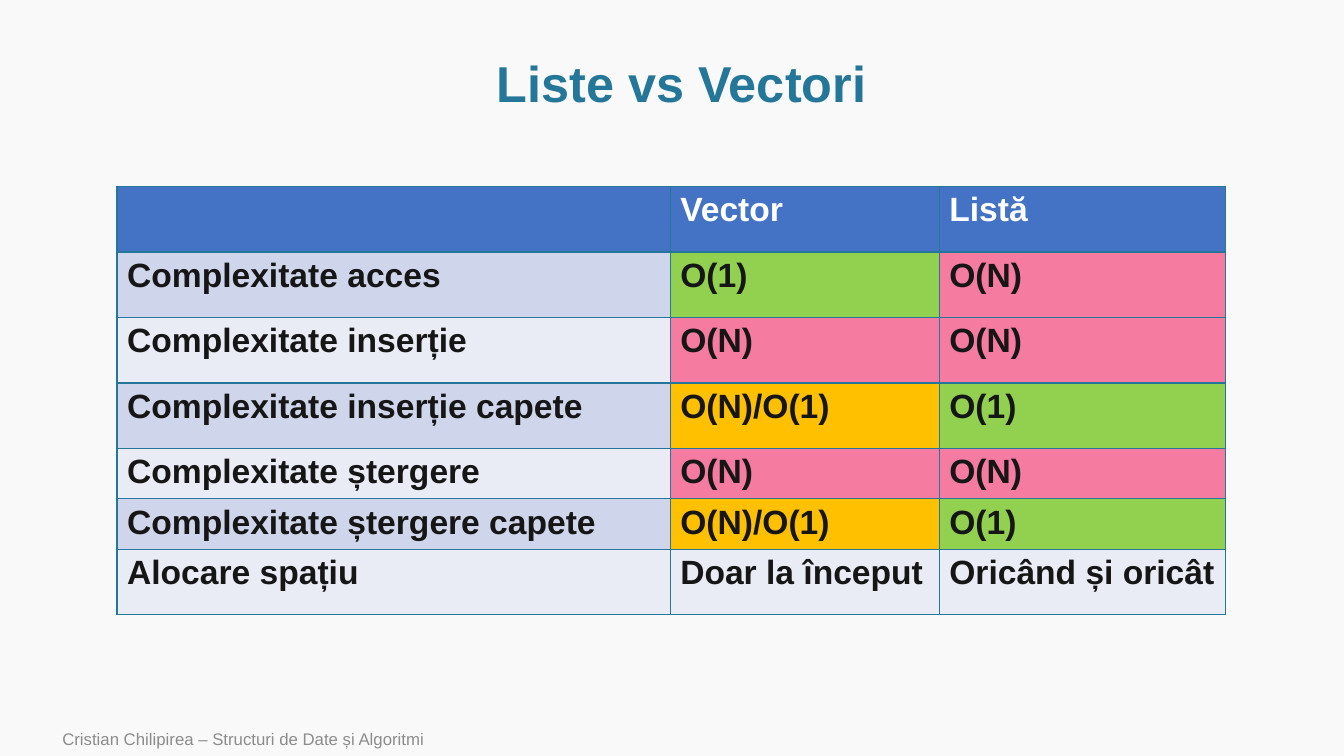
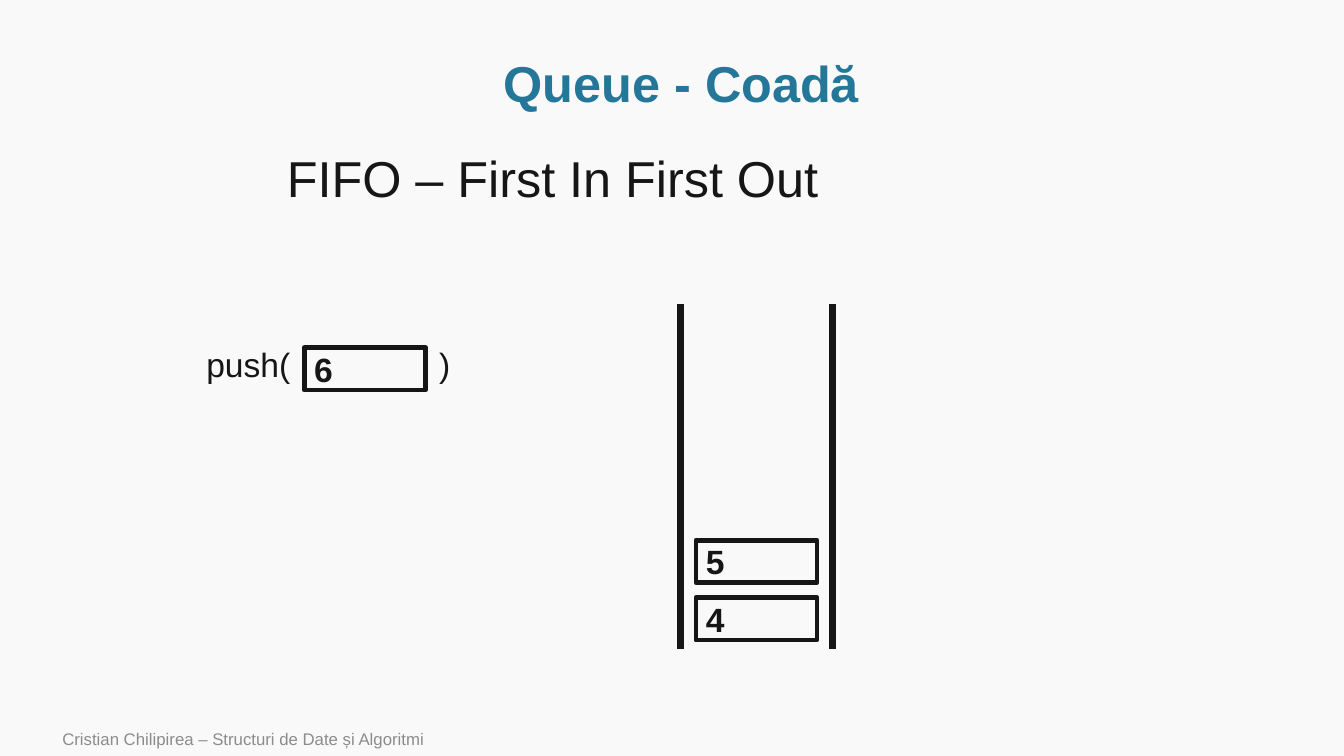
from pptx import Presentation
from pptx.dml.color import RGBColor
from pptx.enum.shapes import MSO_CONNECTOR, MSO_SHAPE
from pptx.enum.text import MSO_ANCHOR, MSO_AUTO_SIZE, PP_ALIGN
from pptx.oxml import parse_xml
from pptx.oxml.ns import nsdecls
from pptx.util import Cm, Pt

FONT = "Arial"
PAPER = RGBColor(0xF9, 0xF9, 0xF9)
TEAL = RGBColor(0x24, 0x77, 0x98)
INK = RGBColor(0x17, 0x16, 0x16)
GRAY = RGBColor(0x8C, 0x8C, 0x8C)
WHITE = RGBColor(0xFF, 0xFF, 0xFF)
HEADER_BLUE = RGBColor(0x44, 0x72, 0xC4)
BANDS = [RGBColor(0xCF, 0xD5, 0xEA), RGBColor(0xE9, 0xEB, 0xF5)]
COST_COLORS = {
    "O(1)": RGBColor(0x92, 0xD0, 0x50),
    "O(N)": RGBColor(0xF5, 0x7B, 0xA1),
    "O(N)/O(1)": RGBColor(0xFF, 0xC0, 0x00),
}

FOOTER = "Cristian Chilipirea – Structuri de Date și Algoritmi"

COMPARISON_TITLE = "Liste vs Vectori"
COMPARISON_HEADER = ("", "Vector", "Listă")
COMPARISON_ROWS = [
    ("Complexitate acces", "O(1)", "O(N)"),
    ("Complexitate inserție", "O(N)", "O(N)"),
    ("Complexitate inserție capete", "O(N)/O(1)", "O(1)"),
    ("Complexitate ștergere", "O(N)", "O(N)"),
    ("Complexitate ștergere capete", "O(N)/O(1)", "O(1)"),
    ("Alocare spațiu", "Doar la început", "Oricând și oricât"),
]
COLUMN_WIDTHS = [Cm(13.94), Cm(6.78), Cm(7.21)]
TALL_ROW, SHORT_ROW = Cm(1.65), Cm(1.2)
ROW_HEIGHTS = [TALL_ROW] * 4 + [SHORT_ROW] * 2 + [TALL_ROW]

QUEUE_TITLE = "Queue - Coadă"
QUEUE_RULE = "FIFO – First In First Out"
QUEUE_ITEMS = ["4", "5"]
PUSHED_ITEM = "6"
PUSH_CALL = "push(\t)"

ITEM_WIDTH, ITEM_HEIGHT = Cm(3.05), Cm(1.07)
ITEM_PITCH = Cm(1.45)
QUEUE_LEFT, QUEUE_RIGHT = Cm(17.15), Cm(20.98)
QUEUE_TOP, QUEUE_BOTTOM = Cm(7.65), Cm(16.36)
FIRST_ITEM_TOP = Cm(15.06)


def write(frame, text, size, color, bold=False):
    paragraph = frame.paragraphs[0]
    run = paragraph.add_run()
    run.text = text
    run.font.name = FONT
    run.font.size = Pt(size)
    run.font.bold = bold
    run.font.color.rgb = color
    return paragraph


def add_text(slide, box, text, size, color, anchor=MSO_ANCHOR.TOP):
    frame = slide.shapes.add_textbox(*box).text_frame
    frame.word_wrap = True
    frame.vertical_anchor = anchor
    return write(frame, text, size, color)


def style_layout(layout):
    """Set the background and the title place for every slide."""
    layout.background.fill.solid()
    layout.background.fill.fore_color.rgb = PAPER
    title = layout.placeholders[0]
    title.left, title.top = Cm(2.57), Cm(1.3)
    title.width, title.height = Cm(29.21), Cm(1.75)


def add_slide(presentation, layout, title):
    slide = presentation.slides.add_slide(layout)
    frame = slide.shapes.title.text_frame
    frame.auto_size = MSO_AUTO_SIZE.NONE
    frame.vertical_anchor = MSO_ANCHOR.MIDDLE
    paragraph = write(frame, title, 36, TEAL, bold=True)
    paragraph.alignment = PP_ALIGN.CENTER
    paragraph.line_spacing = 0.9
    footer_box = (Cm(1.32), Cm(18.19), Cm(21.34), Cm(0.86))
    add_text(slide, footer_box, FOOTER, 12, GRAY, MSO_ANCHOR.MIDDLE)
    return slide


def style_cell(cell, text, fill, color):
    properties = cell._tc.get_or_add_tcPr()
    for side in "LRTB":
        properties.append(parse_xml(
            f'<a:ln{side} {nsdecls("a")} w="{Pt(1)}"><a:solidFill>'
            f'<a:srgbClr val="{TEAL}"/></a:solidFill></a:ln{side}>'))
    cell.fill.solid()
    cell.fill.fore_color.rgb = fill
    if text:
        write(cell.text_frame, text, 24, color, bold=True)


def add_comparison(slide):
    table = slide.shapes.add_table(
        len(ROW_HEIGHTS), len(COLUMN_WIDTHS), Cm(2.95), Cm(4.7),
        sum(COLUMN_WIDTHS), sum(ROW_HEIGHTS)).table
    for column, width in zip(table.columns, COLUMN_WIDTHS):
        column.width = width
    for row, height in zip(table.rows, ROW_HEIGHTS):
        row.height = height
    for cell, text in zip(table.rows[0].cells, COMPARISON_HEADER):
        style_cell(cell, text, HEADER_BLUE, WHITE)
    for index, texts in enumerate(COMPARISON_ROWS):
        band = BANDS[index % 2]
        for cell, text in zip(table.rows[index + 1].cells, texts):
            style_cell(cell, text, COST_COLORS.get(text, band), INK)


def add_item(slide, left, top, label):
    shape = slide.shapes.add_shape(
        MSO_SHAPE.RECTANGLE, left, top, ITEM_WIDTH, ITEM_HEIGHT)
    shape.shadow.inherit = False
    shape.fill.background()
    shape.line.color.rgb = INK
    shape.line.width = Pt(3.5)
    shape.text_frame.vertical_anchor = MSO_ANCHOR.MIDDLE
    paragraph = write(shape.text_frame, label, 24, INK, bold=True)
    paragraph.alignment = PP_ALIGN.LEFT


def add_wall(slide, x):
    wall = slide.shapes.add_connector(
        MSO_CONNECTOR.STRAIGHT, x, QUEUE_TOP, x, QUEUE_BOTTOM)
    wall.line.color.rgb = INK
    wall.line.width = Pt(5.5)
    wall._element.spPr.append(parse_xml(f'<a:effectLst {nsdecls("a")}/>'))


def add_queue(slide):
    rule_box = (Cm(6.98), Cm(3.76), Cm(15.44), Cm(2.13))
    add_text(slide, rule_box, QUEUE_RULE, 36, INK).line_spacing = 0.9
    for x in (QUEUE_LEFT, QUEUE_RIGHT):
        add_wall(slide, x)
    item_left = (QUEUE_LEFT + QUEUE_RIGHT - ITEM_WIDTH) // 2
    for index, label in enumerate(QUEUE_ITEMS):
        add_item(slide, item_left, FIRST_ITEM_TOP - index * ITEM_PITCH, label)


def add_push(slide):
    call_box = (Cm(4.95), Cm(8.53), Cm(6.96), Cm(1.27))
    paragraph = add_text(slide, call_box, PUSH_CALL, 24, INK)
    paragraph._p.get_or_add_pPr().append(parse_xml(
        f'<a:tabLst {nsdecls("a")}><a:tab pos="{Cm(5.87)}" algn="l"/></a:tabLst>'))
    add_item(slide, Cm(7.67), Cm(8.76), PUSHED_ITEM)


def main():
    presentation = Presentation()
    presentation.slide_width, presentation.slide_height = Cm(33.87), Cm(19.05)
    layout = presentation.slide_layouts.get_by_name("Title Only")
    style_layout(layout)

    add_comparison(add_slide(presentation, layout, COMPARISON_TITLE))

    queue_slide = add_slide(presentation, layout, QUEUE_TITLE)
    add_queue(queue_slide)
    add_push(queue_slide)

    presentation.save("out.pptx")


if __name__ == "__main__":
    main()
